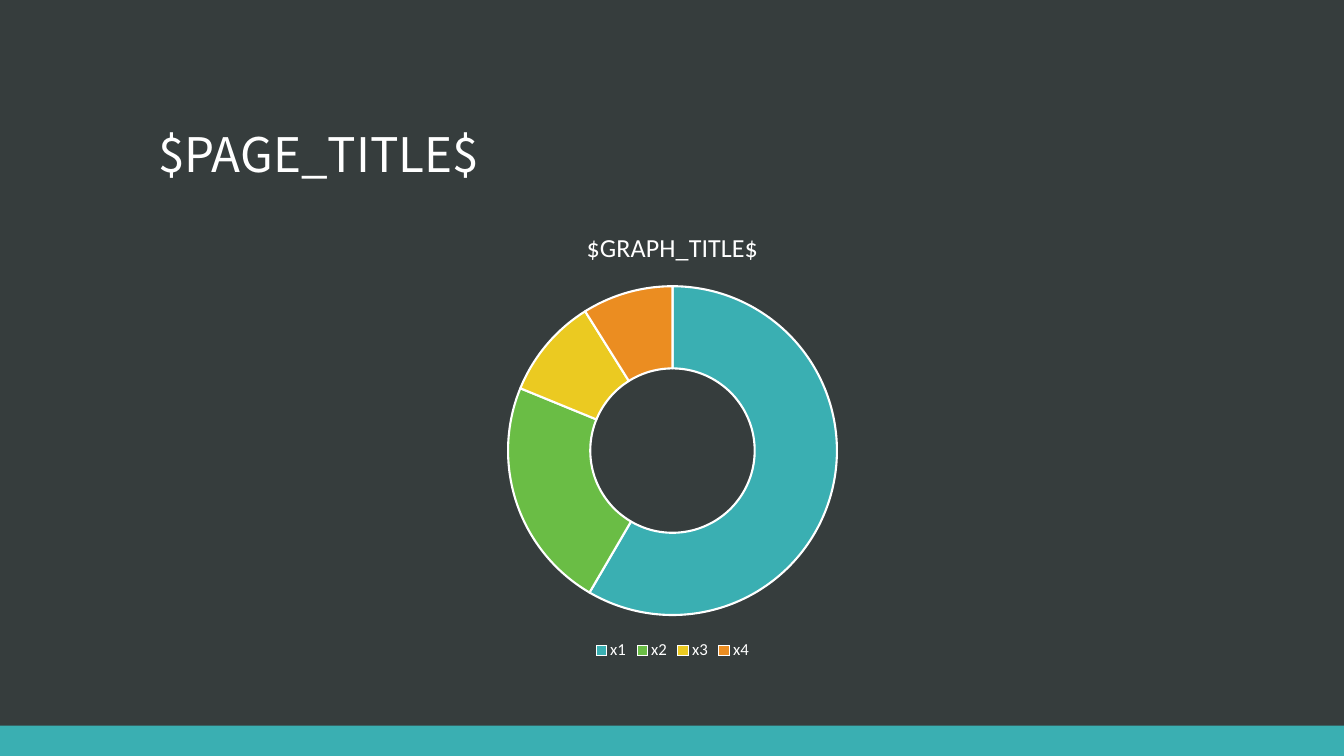
from pptx import Presentation
from pptx.chart.data import CategoryChartData
from pptx.dml.color import RGBColor
from pptx.enum.chart import XL_CHART_TYPE, XL_LEGEND_POSITION
from pptx.enum.shapes import MSO_SHAPE
from pptx.enum.text import MSO_ANCHOR
from pptx.oxml.ns import qn
from pptx.util import Inches, Pt

TITLE = "$PAGE_TITLE$"
GRAPH = "$GRAPH_TITLE$"
PARTS = [("x1", 59, "teal"), ("x2", 23, "green"), ("x3", 10, "gold"), ("x4", 9, "orange")]
HOLE = 75
COLORS = {
    "back": "363D3D", "white": "FFFFFF", "teal": "3AAFB2",
    "green": "6ABD45", "gold": "EBCA21", "orange": "EB8D21",
}
WIDE, HIGH = 13.33, 7.5
BAR = 0.3
LEFT, SPAN = 1.47, 10.4


def color(name):
    return RGBColor.from_string(COLORS[name])


def paint(fill, name):
    fill.solid()
    fill.fore_color.rgb = color(name)


def style(font, size, face="Calibri"):
    font.size = Pt(size)
    font.name = face
    font.bold = False
    font.color.rgb = color("white")


def add_bar(slide):
    bar = slide.shapes.add_shape(
        MSO_SHAPE.RECTANGLE, 0, Inches(HIGH - BAR), Inches(WIDE), Inches(BAR))
    bar.shadow.inherit = False
    paint(bar.fill, "teal")
    bar.line.fill.background()


def add_title(slide):
    box = slide.shapes.add_textbox(Inches(LEFT), Inches(0.51), Inches(SPAN), Inches(1.35))
    frame = box.text_frame
    frame.word_wrap = True
    frame.vertical_anchor = MSO_ANCHOR.BOTTOM
    line = frame.paragraphs[0]
    line.line_spacing = 0.9
    run = line.add_run()
    run.text = TITLE
    face = "Noto Sans CJK SC"
    style(run.font, 34, face)
    east = run.font.fill._xPr.makeelement(qn("a:ea"), {"typeface": face})
    run.font.fill._xPr.append(east)


def add_ring(slide):
    data = CategoryChartData()
    data.categories = [name for name, _, _ in PARTS]
    data.add_series(GRAPH, [value for _, value, _ in PARTS])
    chart = slide.shapes.add_chart(
        XL_CHART_TYPE.DOUGHNUT, Inches(LEFT), Inches(2.08),
        Inches(SPAN), Inches(4.51), data).chart
    style(chart.font, 10)
    chart.has_title = True
    run = chart.chart_title.text_frame.paragraphs[0].add_run()
    run.text = GRAPH
    style(run.font, 18.6)
    chart.chart_title.include_in_layout = False
    chart.has_legend = True
    chart.legend.position = XL_LEGEND_POSITION.BOTTOM
    chart.legend.include_in_layout = False
    style(chart.legend.font, 12)
    plot = chart.plots[0]
    plot.vary_by_categories = True
    plot.has_data_labels = False
    for i, (_, _, name) in enumerate(PARTS):
        form = plot.series[0].points[i].format
        paint(form.fill, name)
        paint(form.line.fill, "white")
        form.line.width = Pt(1.5)
    for hole in chart.element.iter(qn("c:holeSize")):
        hole.set("val", str(HOLE))


def main():
    deck = Presentation()
    deck.slide_width, deck.slide_height = Inches(WIDE), Inches(HIGH)
    slide = deck.slides.add_slide(deck.slide_layouts[6])
    paint(slide.background.fill, "back")
    add_bar(slide)
    add_title(slide)
    add_ring(slide)
    deck.save("out.pptx")


if __name__ == "__main__":
    main()
